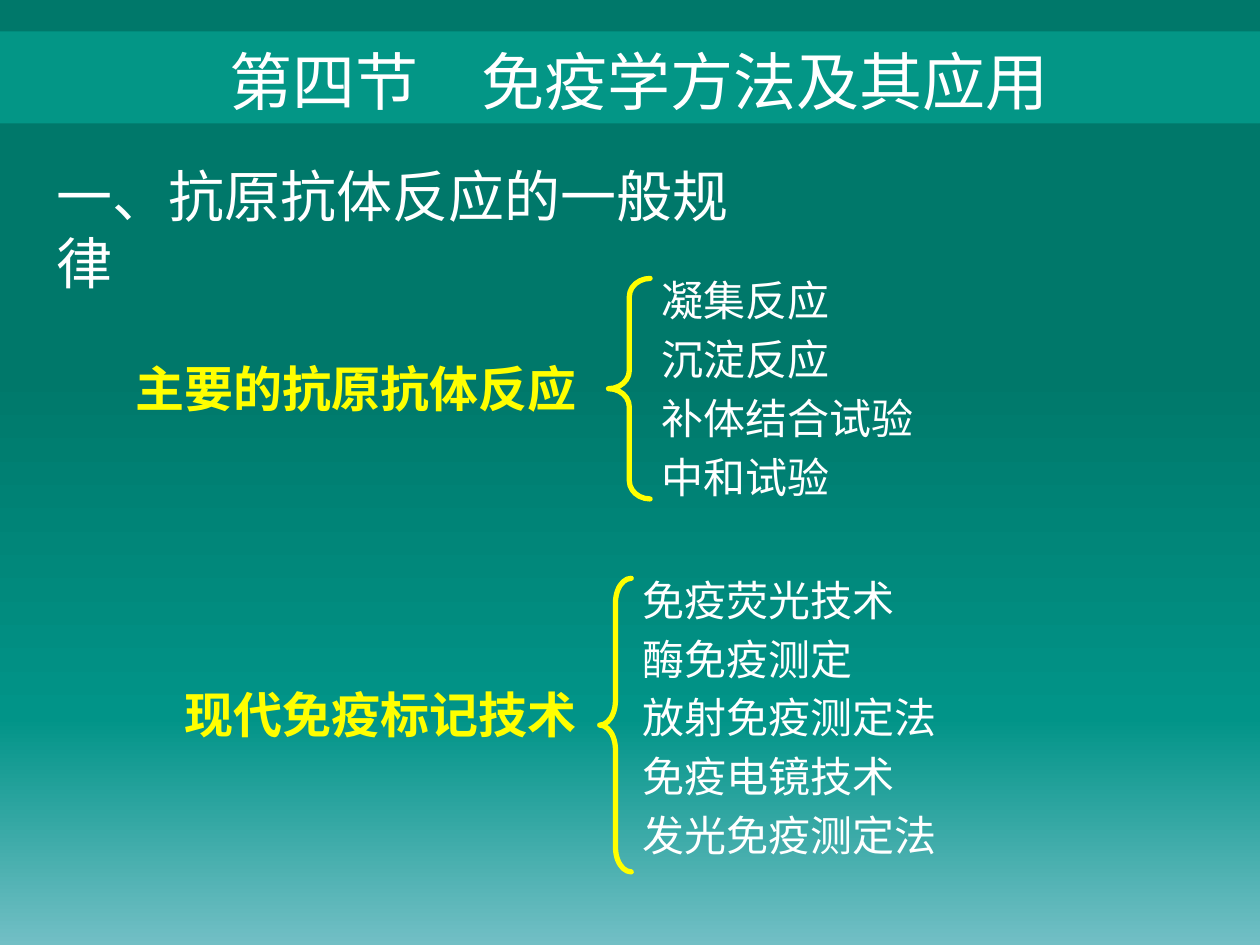
import dataclasses

import lxml.etree
import pptx
import pptx.dml.color
import pptx.enum.shapes
import pptx.enum.text
import pptx.oxml.ns
import pptx.util

Inches = pptx.util.Inches
qn = pptx.oxml.ns.qn


@dataclasses.dataclass(frozen=True)
class Theme:
    font: str = "Noto Sans CJK SC"
    text: str = "FFFFFF"
    accent: str = "FFFF00"
    band: str = "039686"
    backdrop: tuple = ((0, "00786A"), (39, "00786A"), (76, "019488"), (100, "72BFC5"))
    title_size: int = 36
    heading_size: int = 32
    label_size: int = 28
    item_size: int = 24
    brace_width: int = 3


THEME = Theme()


def rgb(value):
    return pptx.dml.color.RGBColor.from_string(value)


def place(shape, box):
    shape.left, shape.top, shape.width, shape.height = map(Inches, box)


def write(shape, lines, size, color, bold=False, gap=0):
    """Fill a shape with one paragraph per line, without bullets or indents."""
    frame = shape.text_frame
    frame.text = "\n".join(lines)
    frame.word_wrap = True
    frame.auto_size = pptx.enum.text.MSO_AUTO_SIZE.NONE
    frame.vertical_anchor = pptx.enum.text.MSO_ANCHOR.TOP
    for number, paragraph in enumerate(frame.paragraphs):
        properties = paragraph._p.get_or_add_pPr()
        properties.set("marL", "0")
        properties.set("indent", "0")
        lxml.etree.SubElement(properties, qn("a:buNone"))
        paragraph.space_before = pptx.util.Pt(gap if number else 0)
        for run in paragraph.runs:
            run.font.name = THEME.font
            run.font.size = pptx.util.Pt(size)
            run.font.bold = bold
            run.font.color.rgb = rgb(color)
            east_asian = lxml.etree.SubElement(run._r.get_or_add_rPr(), qn("a:ea"))
            east_asian.set("typeface", THEME.font)


def add_text(slide, box, lines, size, color, **style):
    write(slide.shapes.add_textbox(*map(Inches, box)), lines, size, color, **style)


def paint_background(slide):
    fill = slide.background.fill
    fill.gradient()
    fill.gradient_angle = 270
    stops = fill._fill._gradFill.find(qn("a:gsLst"))
    for stop in list(stops):
        stops.remove(stop)
    for position, color in THEME.backdrop:
        stop = lxml.etree.SubElement(stops, qn("a:gs"), pos=str(position * 1000))
        lxml.etree.SubElement(stop, qn("a:srgbClr"), val=color)


def add_title(slide, box, text):
    # Band behind the title
    band = slide.shapes.add_shape(
        pptx.enum.shapes.MSO_SHAPE.RECTANGLE, *map(Inches, box))
    band.shadow.inherit = False
    band.fill.solid()
    band.fill.fore_color.rgb = rgb(THEME.band)
    band.line.fill.background()
    slide.shapes._spTree.insert(2, band._element)

    # Title text, set slightly right of and below the band's middle
    left, top, width, height = box
    title = slide.shapes.title
    place(title, (left, top + 0.04, width + 0.14, height - 0.02))
    write(title, [text], THEME.title_size, THEME.text)
    title.text_frame.paragraphs[0].alignment = pptx.enum.text.PP_ALIGN.CENTER


def add_brace(slide, box, curve):
    brace = slide.shapes.add_shape(
        pptx.enum.shapes.MSO_SHAPE.LEFT_BRACE, *map(Inches, box))
    brace.shadow.inherit = False
    brace.adjustments[0] = curve
    brace.fill.background()
    brace.line.color.rgb = rgb(THEME.accent)
    brace.line.width = pptx.util.Pt(THEME.brace_width)
    brace.line._get_or_add_ln().set("cap", "rnd")


def add_group(slide, label, label_box, brace_box, curve, items, items_box, body=None):
    """A label and a brace that opens onto a list of items."""
    add_text(slide, label_box, [label], THEME.label_size, THEME.accent, bold=True)
    add_brace(slide, brace_box, curve)
    style = (items, THEME.item_size, THEME.text)
    gap = THEME.item_size * 0.2
    if body is None:
        add_text(slide, items_box, *style, gap=gap)
    else:
        place(body, items_box)
        write(body, *style, gap=gap)


def main():
    deck = pptx.Presentation()
    deck.slide_width, deck.slide_height = Inches(10), Inches(7.5)
    slide = deck.slides.add_slide(deck.slide_layouts[1])

    paint_background(slide)
    add_title(slide, (0, 0.25, 10, 0.73), "第四节　免疫学方法及其应用")

    # Section heading
    add_text(slide, (0.35, 1.23, 5.98, 1.2), ["一、抗原抗体反应的一般规律"],
             THEME.heading_size, THEME.text)

    # Main antigen-antibody reactions
    add_group(slide, "主要的抗原抗体反应", (0.98, 2.8, 3.86, 0.57),
              (4.83, 2.21, 0.33, 1.75), 0.44,
              ["凝集反应", "沉淀反应", "补体结合试验", "中和试验"],
              (5.15, 2.13, 2.36, 1.97), slide.placeholders[1])

    # Modern immunolabelling techniques
    add_group(slide, "现代免疫标记技术", (1.37, 5.38, 3.43, 0.57),
              (4.76, 4.59, 0.25, 2.33), 0.78,
              ["免疫荧光技术", "酶免疫测定", "放射免疫测定法", "免疫电镜技术", "发光免疫测定法"],
              (5, 4.51, 2.91, 2.44))

    deck.save("out.pptx")


if __name__ == "__main__":
    main()
